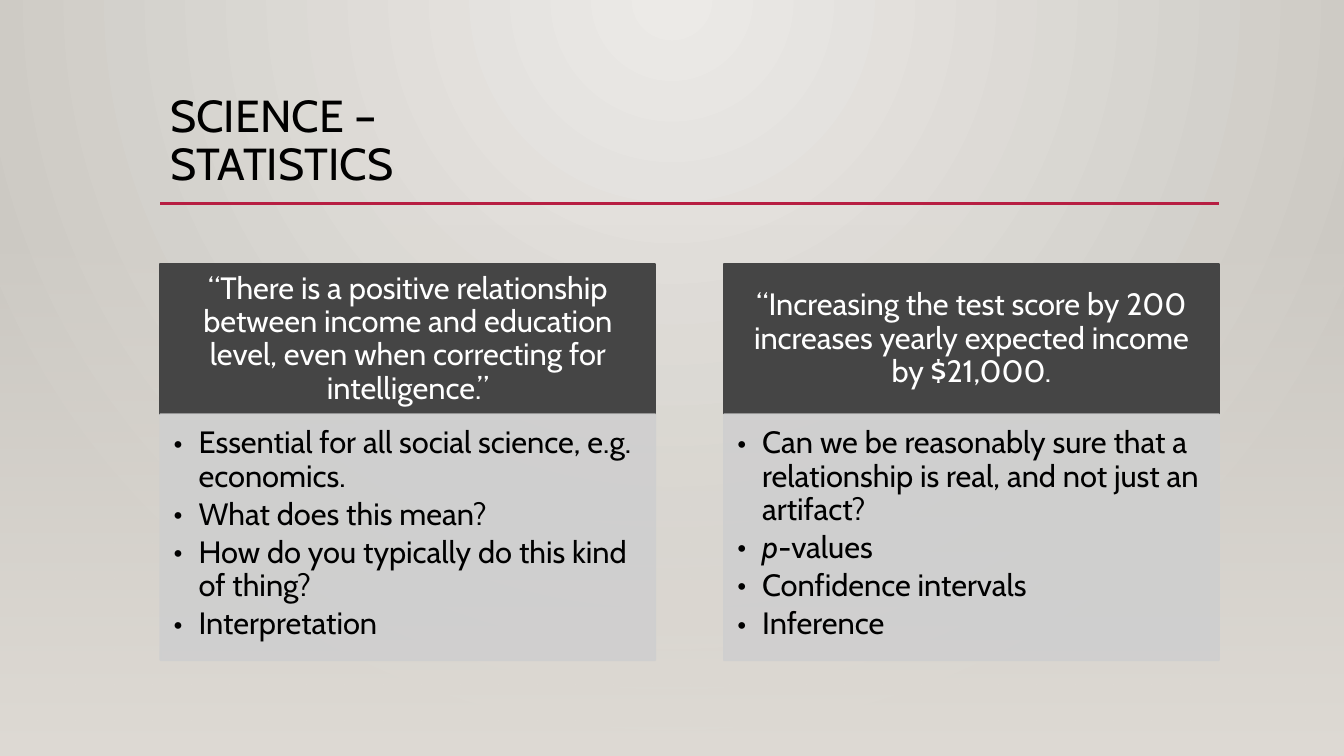
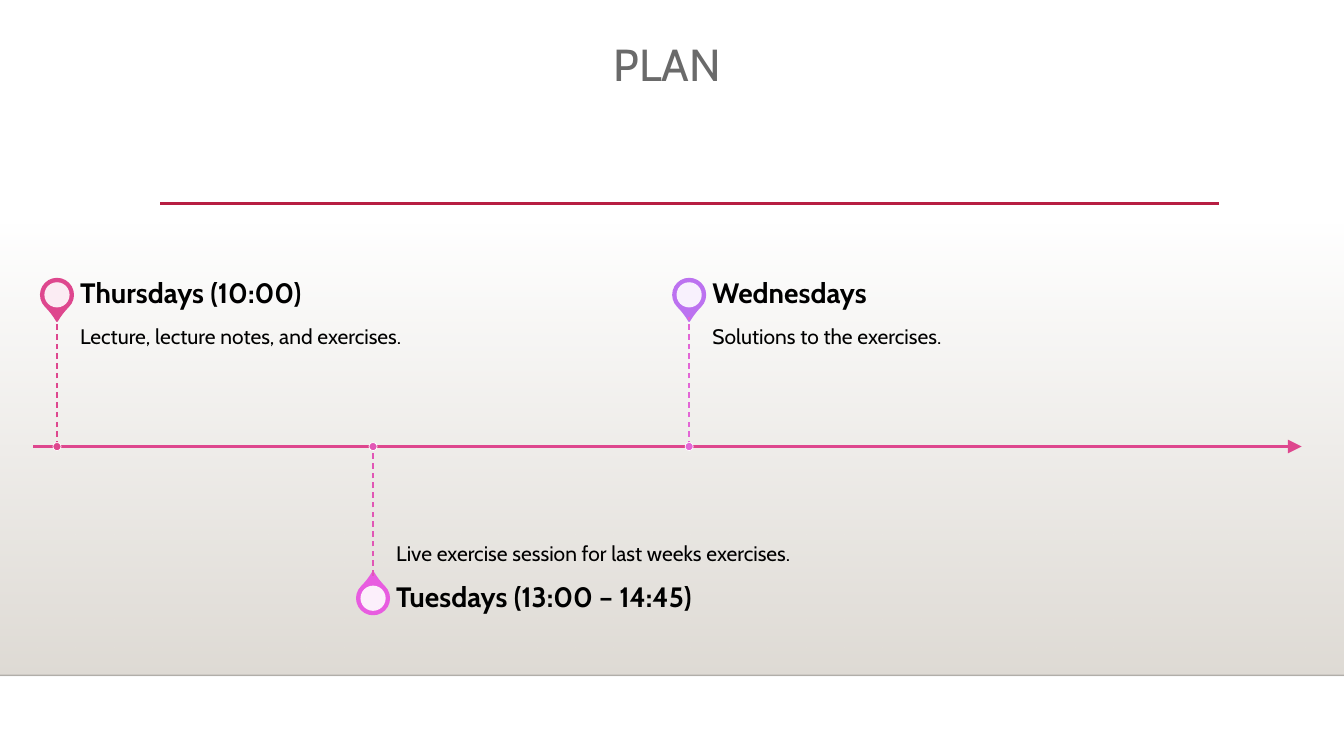
from lxml import etree
from pptx import Presentation
from pptx.dml.color import RGBColor
from pptx.enum.dml import MSO_LINE
from pptx.enum.shapes import MSO_CONNECTOR, MSO_SHAPE
from pptx.enum.text import MSO_ANCHOR, PP_ALIGN
from pptx.oxml import parse_xml
from pptx.oxml.ns import nsdecls, qn
from pptx.util import Inches, Pt

RECT, OVAL, TEAR = MSO_SHAPE.RECTANGLE, MSO_SHAPE.OVAL, MSO_SHAPE.TEAR
STRAIGHT, DASH = MSO_CONNECTOR.STRAIGHT, MSO_LINE.DASH
TOP, MIDDLE, BOTTOM = MSO_ANCHOR.TOP, MSO_ANCHOR.MIDDLE, MSO_ANCHOR.BOTTOM
LEFT, CENTER = PP_ALIGN.LEFT, PP_ALIGN.CENTER

FONT = "Cabin"
BLACK, WHITE, DARK, PALE = "000000", "FFFFFF", "454545", "CFCFCF"
GREY, RED, PINK, SAND = "6A6A6A", "B71E42", "DE478E", "DFDBD5"
WIDTH, HEIGHT = 13.33, 7.5
MARGIN, CONTENT_W = 1.59, 10.5
RULE_Y, FADE_Y, FLOOR_Y = 2.02, 2.21, 6.7

RADIAL = '<a:path path="circle"><a:fillToRect l="43000" r="43000" b="100000"/></a:path>'
DOWNWARD = '<a:lin ang="5400000" scaled="0"/>'

CARDS = [
    ("“There is a positive relationship between income and education level, "
     "even when correcting for intelligence.”",
     [["Essential for all social science, e.g. economics."],
      ["What does this mean?"],
      ["How do you typically do this kind of thing?"],
      ["Interpretation"]]),
    ("“Increasing the test score by 200 increases yearly expected income by $21,000.",
     [["Can we be reasonably sure that a relationship is real, and not just an artifact?"],
      ["p", "-values"],
      ["Confidence intervals"],
      ["Inference"]]),
]
MILESTONES = [
    (True, PINK, PINK, "Thursdays (10:00)", "Lecture, lecture notes, and exercises."),
    (False, "E85CE0", "E156B5", "Tuesdays (13:00 – 14:45)",
     "Live exercise session for last weeks exercises."),
    (True, "BC72F0", "E366D6", "Wednesdays", "Solutions to the exercises."),
]


def rgb(color):
    """Return the colour for a hex string."""
    return RGBColor.from_string(color)


def set_alpha(element, percent):
    """Make every solid colour below the element translucent."""
    for clr in element.iter(qn("a:srgbClr")):
        etree.SubElement(clr, qn("a:alpha")).set("val", str(percent * 1000))


def set_gradient(fill, element, stops, direction):
    """Fill with a gradient of (position, colour, opacity) stops."""
    fill.solid()
    solid = next(element.iter(qn("a:solidFill")))
    gs = "".join(
        f'<a:gs pos="{pos * 1000}"><a:srgbClr val="{color}">'
        f'<a:alpha val="{opacity * 1000}"/></a:srgbClr></a:gs>'
        for pos, color, opacity in stops)
    solid.getparent().replace(solid, parse_xml(
        f'<a:gradFill {nsdecls("a")} rotWithShape="1">'
        f'<a:gsLst>{gs}</a:gsLst>{direction}</a:gradFill>'))


def add_shape(s, kind, box, fill=None, line=None, weight=1.25, alpha=None):
    """Add a flat preset shape."""
    sp = s.shapes.add_shape(kind, *map(Inches, box))
    sp.shadow.inherit = False
    if fill:
        sp.fill.solid()
        sp.fill.fore_color.rgb = rgb(fill)
    if line:
        sp.line.color.rgb = rgb(line)
        sp.line.width = Pt(weight)
    else:
        sp.line.fill.background()
    if alpha:
        set_alpha(sp._element.spPr, alpha)
    return sp


def add_line(s, start, end, color, weight):
    """Add a straight line without a shadow."""
    cxn = s.shapes.add_connector(STRAIGHT, *map(Inches, start + end))
    cxn.line.color.rgb = rgb(color)
    cxn.line.width = Pt(weight)
    etree.SubElement(cxn._element.spPr, qn("a:effectLst"))
    return cxn


def set_frame(sp, insets, anchor=TOP):
    """Set wrapping, insets (left, top, right, bottom) and anchor."""
    tf = sp.text_frame
    tf.word_wrap = True
    tf.vertical_anchor = anchor
    tf.margin_left, tf.margin_top, tf.margin_right, tf.margin_bottom = map(Inches, insets)
    return tf


def style(p, size, color, align=LEFT, bold=False):
    """Apply the shared font and line spacing to a paragraph."""
    p.alignment = align
    p.line_spacing = 0.9
    p.font.name = FONT
    p.font.size = Pt(size)
    p.font.bold = bold
    p.font.color.rgb = rgb(color)


def add_text(s, box, text, size, color=BLACK, align=LEFT, bold=False,
             insets=(0.1, 0.05, 0.1, 0.05), anchor=TOP):
    """Add a one-paragraph text box."""
    tf = set_frame(s.shapes.add_textbox(*map(Inches, box)), insets, anchor)
    tf.paragraphs[0].text = text
    style(tf.paragraphs[0], size, color, align, bold)


def add_base(s, fade_bottom, title, title_box, color, align):
    """Add the fading floor, red rule and title that slides share."""
    fade = add_shape(s, RECT, (0, FADE_Y, WIDTH, fade_bottom - FADE_Y))
    set_gradient(fade.fill, fade._element.spPr, [(0, SAND, 0), (100, SAND, 100)], DOWNWARD)
    add_line(s, (MARGIN, RULE_Y), (MARGIN + CONTENT_W, RULE_Y), RED, 2.5)
    add_text(s, title_box, title, 32, color, align)


def add_card(s, x, y, w, heading, bullets):
    """Add a dark quotation over a pale bullet list."""
    head_h, body_h = 1.49, 2.44
    head = add_shape(s, RECT, (x, y, w, head_h), DARK, DARK)
    p = set_frame(head, (0.17, 0.1, 0.17, 0.1), MIDDLE).paragraphs[0]
    p.text = heading
    style(p, 22, WHITE, CENTER)
    body = add_shape(s, RECT, (x, y + head_h, w, body_h), PALE, PALE, alpha=90)
    tf = set_frame(body, (0.13, 0.13, 0.17, 0.19))
    for i, runs in enumerate(bullets):
        p = tf.paragraphs[0] if i == 0 else tf.add_paragraph()
        for text in runs:
            r = p.add_run()
            r.text = text
            if text == "p":
                r.font.italic = True
        style(p, 22, BLACK)
        p.space_after = Pt(3.5)
        pPr = p._p.get_or_add_pPr()
        pPr.set("marL", str(Inches(0.25)))
        pPr.set("indent", str(-Inches(0.25)))
        for bullet in (f'<a:buFont {nsdecls("a")} typeface="{FONT}"/>',
                       f'<a:buChar {nsdecls("a")} char="•"/>'):
            pPr.find(qn("a:defRPr")).addprevious(parse_xml(bullet))


def add_milestone(s, x, axis_y, above, pin_color, stem_color, heading, detail):
    """Add a pin, dashed stem, dot and texts on one side of the axis."""
    body_h, head_h, text_w, pin, hole, dot = 1.28, 0.45, 5.22, 0.32, 0.25, 0.08
    if above:
        body_y = axis_y - body_h
        head_y, rotation = body_y - head_h, 135
        insets, anchor = (0, 0.1, 0.1, 0.16), TOP
    else:
        body_y = axis_y
        head_y, rotation = body_y + body_h, 315
        insets, anchor = (0, 0.16, 0, 0.12), BOTTOM
    pin_y = head_y + head_h / 2

    def centred(size, y):
        """Return a square box centred on the stem."""
        return x - size / 2, y - size / 2, size, size

    drop = add_shape(s, TEAR, centred(pin, pin_y), pin_color, pin_color)
    drop.adjustments[0] = 1.15
    drop.rotation = rotation
    add_shape(s, OVAL, centred(hole, pin_y), WHITE, alpha=90)
    text_x = x + 0.23
    add_text(s, (text_x, body_y, text_w, body_h), detail, 15, insets=insets, anchor=anchor)
    add_text(s, (text_x, head_y, text_w, head_h), heading, 20, bold=True,
             insets=(0, 0, 0.14, 0), anchor=MIDDLE)
    stem = add_line(s, (x, body_y + body_h), (x, body_y), stem_color, 1)
    stem.line.dash_style = DASH
    add_shape(s, OVAL, centred(dot, axis_y), stem_color, WHITE, 0.5)


def build_statistics(s):
    """Build the slide with two quotation cards."""
    set_gradient(s.background.fill, s._element,
                 [(0, "ECEAE7", 100), (100, "CAC7C1", 100)], RADIAL)
    add_base(s, HEIGHT, "SCIENCE –\vSTATISTICS", (MARGIN, 0.88, CONTENT_W, 1.15), BLACK, LEFT)
    card_w = 4.91
    for i, card in enumerate(CARDS):
        add_card(s, MARGIN + i * (CONTENT_W - card_w), 2.62, card_w, *card)


def build_plan(s):
    """Build the weekly timeline slide."""
    left, width, axis_y = 0.33, 12.58, 4.43
    middle_x, pitch = 3.7, 6.27 / 2
    add_base(s, FLOOR_Y, "PLAN", (left, 0.38, width, 1.64), GREY, CENTER)
    floor = add_line(s, (0, FLOOR_Y), (WIDTH, FLOOR_Y), BLACK, 1)
    set_alpha(floor._element.spPr, 20)
    axis = add_line(s, (left, axis_y), (left + width, axis_y), PINK, 1.5)
    tail = etree.SubElement(axis.line._get_or_add_ln(), qn("a:tailEnd"))
    for key, value in (("type", "triangle"), ("w", "lg"), ("len", "lg")):
        tail.set(key, value)
    for i, milestone in enumerate(MILESTONES):
        add_milestone(s, middle_x + (i - 1) * pitch, axis_y, *milestone)


def main():
    """Build and save the presentation."""
    prs = Presentation()
    prs.slide_width, prs.slide_height = Inches(WIDTH), Inches(HEIGHT)
    for build in (build_statistics, build_plan):
        build(prs.slides.add_slide(prs.slide_layouts[6]))
    prs.save("out.pptx")


if __name__ == "__main__":
    main()
